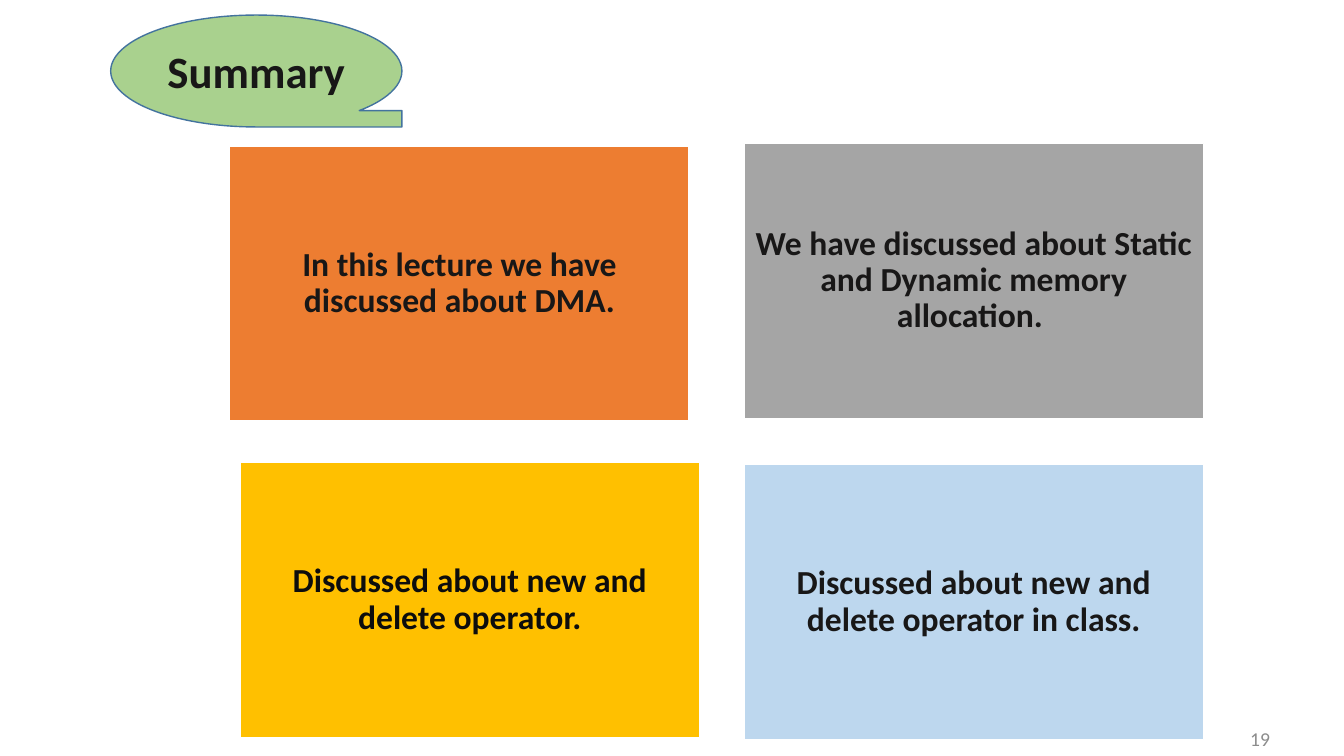
from dataclasses import dataclass

from pptx import Presentation
from pptx.dml.color import RGBColor
from pptx.enum.shapes import MSO_SHAPE
from pptx.enum.text import MSO_ANCHOR, MSO_AUTO_SIZE, PP_ALIGN
from pptx.shapes.autoshape import Shape
from pptx.slide import Slide
from pptx.util import Cm, Pt

INK = RGBColor(0x18, 0x17, 0x17)
NEAR_BLACK = RGBColor(0x0D, 0x0D, 0x0D)
PAGE_GRAY = RGBColor(0x8C, 0x8C, 0x8C)
WHITE = RGBColor(0xFF, 0xFF, 0xFF)
LEAF_GREEN = RGBColor(0xA9, 0xD1, 0x8E)
OUTLINE_BLUE = RGBColor(0x43, 0x73, 0x9E)
ORANGE = RGBColor(0xED, 0x7D, 0x31)
GRAY = RGBColor(0xA5, 0xA5, 0xA5)
GOLD = RGBColor(0xFF, 0xC0, 0x00)
PALE_BLUE = RGBColor(0xBD, 0xD7, 0xEE)

CARD_WIDTH, CARD_HEIGHT = Cm(11.58), Cm(6.93)
HEADING_BOX = Cm(2.79), Cm(0.38), Cm(7.34), Cm(2.82)


@dataclass
class Card:
    left: Cm
    top: Cm
    fill: RGBColor
    message: str
    ink: RGBColor = INK


CARDS = [
    Card(Cm(5.79), Cm(3.68), ORANGE, "In this lecture we have discussed about DMA."),
    Card(Cm(18.75), Cm(3.61), GRAY,
         "We have discussed about Static and Dynamic memory allocation. "),
    Card(Cm(6.05), Cm(11.66), GOLD, "Discussed about new and delete operator.", NEAR_BLACK),
    Card(Cm(18.75), Cm(11.71), PALE_BLUE, "Discussed about new and delete operator in class."),
]


def write(holder: Shape, text: str, *, size: float, color: RGBColor = INK, bold: bool = True,
          align: PP_ALIGN = PP_ALIGN.CENTER, line_spacing: float = 1.0,
          inset: Cm = Cm(0.25)) -> None:
    frame = holder.text_frame
    frame.word_wrap = True
    frame.auto_size = MSO_AUTO_SIZE.NONE
    frame.vertical_anchor = MSO_ANCHOR.MIDDLE
    frame.margin_left = frame.margin_right = Cm(0.25)
    frame.margin_top = frame.margin_bottom = inset
    frame.text = text
    paragraph = frame.paragraphs[0]
    paragraph.alignment = align
    paragraph.line_spacing = line_spacing
    paragraph.space_before = Pt(0)
    font = paragraph.runs[0].font
    font.name = "Calibri"
    font.size = Pt(size)
    font.bold = bold
    font.color.rgb = color


def add_panel(slide: Slide, preset: MSO_SHAPE, box: tuple[int, int, int, int],
              fill: RGBColor, outline: RGBColor) -> Shape:
    panel = slide.shapes.add_shape(preset, *box)
    panel.shadow.inherit = False
    panel.fill.solid()
    panel.fill.fore_color.rgb = fill
    panel.line.color.rgb = outline
    panel.line.width = Pt(1)
    return panel


def add_heading(slide: Slide) -> None:
    bubble = add_panel(slide, MSO_SHAPE.FLOWCHART_SEQUENTIAL_ACCESS_STORAGE, HEADING_BOX,
                       LEAF_GREEN, OUTLINE_BLUE)
    heading = slide.shapes.title
    heading.left, heading.top, heading.width, heading.height = HEADING_BOX
    write(heading, "Summary", size=32)
    heading.element.addprevious(bubble.element)


def add_card(slide: Slide, card: Card) -> None:
    box = (card.left, card.top, CARD_WIDTH, CARD_HEIGHT)
    panel = add_panel(slide, MSO_SHAPE.RECTANGLE, box, card.fill, WHITE)
    write(panel, card.message, size=24, color=card.ink, line_spacing=0.9)


def main() -> None:
    deck = Presentation()
    deck.slide_width, deck.slide_height = Cm(33.87), Cm(19.05)
    slide = deck.slides.add_slide(deck.slide_layouts[5])
    page_number = slide.shapes.add_textbox(Cm(26.57), Cm(18.54), Cm(5.69), Cm(0.13))
    write(page_number, "19", size=14, color=PAGE_GRAY, bold=False,
          align=PP_ALIGN.RIGHT, inset=Cm(0))
    add_heading(slide)
    for card in CARDS:
        add_card(slide, card)
    deck.save("out.pptx")


if __name__ == "__main__":
    main()
